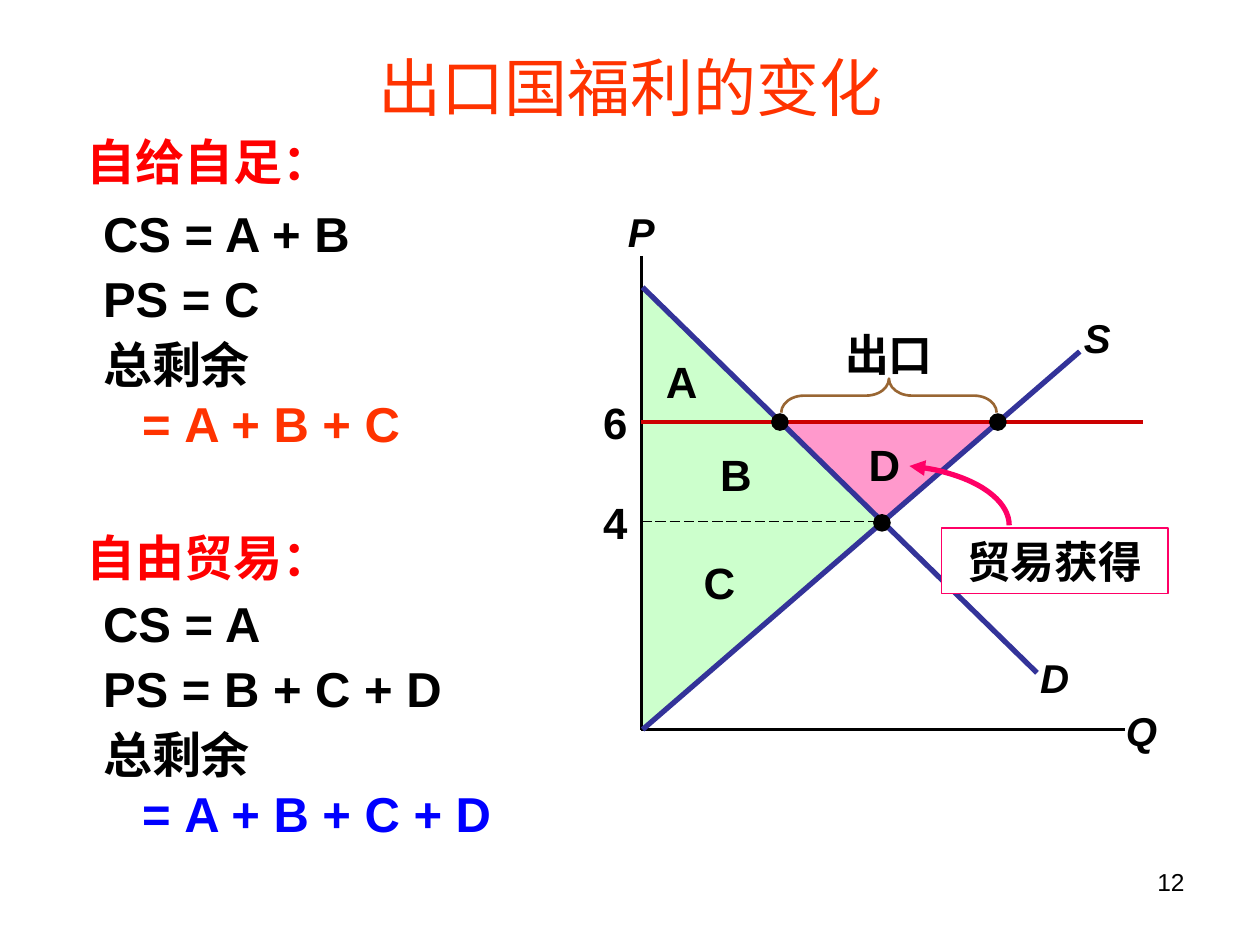
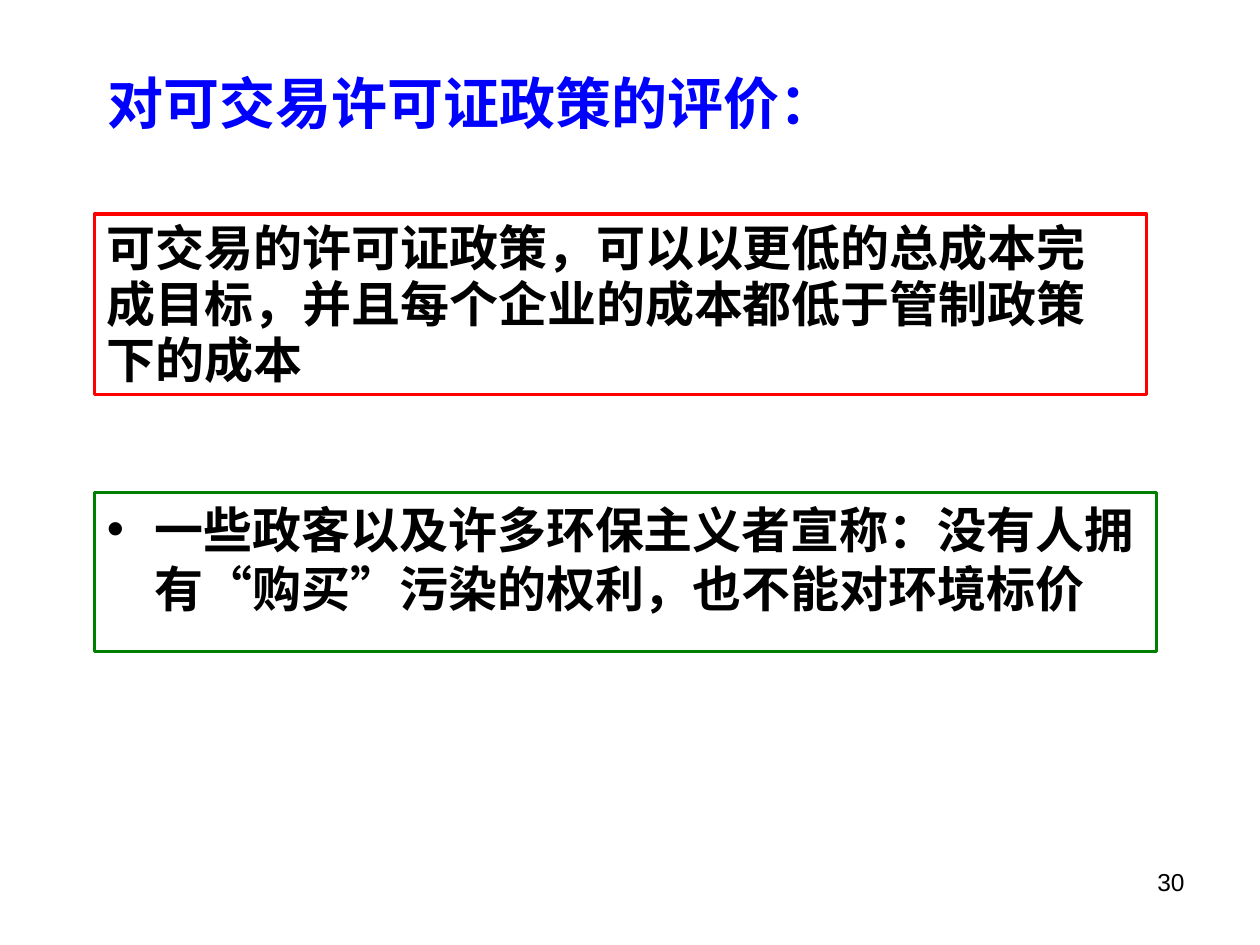
from dataclasses import dataclass

from lxml import etree
from pptx import Presentation
from pptx.dml.color import RGBColor
from pptx.enum import shapes, text
from pptx.oxml.ns import qn
from pptx.util import Inches, Pt


@dataclass(frozen=True)
class Theme:
    latin: str = "Arial"
    chinese: str = "Noto Sans CJK SC"
    black: str = "000000"
    white: str = "FFFFFF"
    orange: str = "FF3300"
    red: str = "FF0000"
    blue: str = "0000FF"
    green: str = "008000"
    surplus: str = "CCFFCC"
    gain: str = "FF99CC"
    arrow: str = "FF0066"
    curve: str = "333399"
    world_price: str = "CC0000"
    brace: str = "996633"
    title: int = 36
    heading: int = 32
    body: int = 28
    area: int = 25
    axis: int = 23
    number: int = 14


T = Theme()
SHAPE, ALIGN, ANCHOR = shapes.MSO_SHAPE, text.PP_ALIGN, text.MSO_ANCHOR

# Content: welfare slide. Each entry: heading, plain lines, last line, its colour
WELFARE_TITLE = "出口国福利的变化"
REGIMES = [
    ("自给自足：", ["CS = A + B", "PS = C", "总剩余"], "= A + B + C", T.orange),
    ("自由贸易：", ["CS = A", "PS = B + C + D", "总剩余"], "= A + B + C + D", T.blue),
]
# Diagram points, in inches on the slide
ORIGIN = (5.09, 5.79)
PRICE_TOP, QUANTITY_END = 2.03, 8.93
TRADE_PRICE, HOME_PRICE = 3.35, 4.14
DEMAND = ((5.1, 2.28), (8.23, 5.34))
SUPPLY = ((5.1, 5.79), (8.57, 2.79))
BUYERS, SELLERS, BALANCE = (6.19, TRADE_PRICE), (7.92, TRADE_PRICE), (7, 4.15)
# Letter and centre
CURVE_LABELS = [("P", 5.09, 1.84), ("Q", 9.06, 5.8), ("D", 8.37, 5.38), ("S", 8.71, 2.68)]
AREA_LABELS = [("A", 5.41, 3.02), ("B", 5.84, 3.76), ("D", 7.02, 3.68), ("C", 5.71, 4.62)]
PRICES = [("6", TRADE_PRICE), ("4", HOME_PRICE)]
EXPORTS, TRADE_GAIN = "出口", "贸易获得"

# Content: permit slide
PERMIT_TITLE = "对可交易许可证政策的评价："
ADVANTAGE = "可交易的许可证政策，可以以更低的总成本完成目标，并且每个企业的成本都低于管制政策下的成本"
OBJECTION = "一些政客以及许多环保主义者宣称：没有人拥有“购买”污染的权利，也不能对环境标价"


# Shared helpers
def rgb(code):
    return RGBColor.from_string(code)


def box(left, top, width, height):
    return [Inches(v) for v in (left, top, width, height)]


def add_run(paragraph, words, size, color=T.black, bold=True, italic=False, font=T.latin):
    run = paragraph.add_run()
    run.text = words
    run.font.size, run.font.bold, run.font.italic = Pt(size), bold, italic
    run.font.color.rgb = rgb(color)
    run.font.name = font
    properties = run.font._element
    properties.set("lang", "zh-CN")
    etree.SubElement(properties, qn("a:ea")).set("typeface", T.chinese)


def add_text(slide, area, anchor=ANCHOR.TOP, side=0.1, edge=0.05):
    holder = slide.shapes.add_textbox(*box(*area))
    frame = holder.text_frame
    frame.word_wrap, frame.vertical_anchor = True, anchor
    frame.margin_left = frame.margin_right = Inches(side)
    frame.margin_top = frame.margin_bottom = Inches(edge)
    return holder


def add_label(slide, words, x, y, width=0.6, height=0.42, size=T.area,
              align=ALIGN.CENTER, italic=False):
    holder = add_text(slide, (x - width / 2, y - height / 2, width, height),
                      ANCHOR.MIDDLE, side=0, edge=0)
    paragraph = holder.text_frame.paragraphs[0]
    paragraph.alignment = align
    add_run(paragraph, words, size, italic=italic)
    return holder


def outline(item, color, width):
    item.line.color.rgb, item.line.width = rgb(color), Pt(width)


def add_preset(slide, preset, area, fill=None, line=None, width=1, flip=False):
    item = slide.shapes.add_shape(preset, *box(*area))
    item.shadow.inherit = False
    if fill:
        item.fill.solid()
        item.fill.fore_color.rgb = rgb(fill)
    else:
        item.fill.background()
    if line:
        outline(item, line, width)
    else:
        item.line.fill.background()
    if flip:
        item._element.spPr.find(qn("a:xfrm")).set("flipV", "1")
    return item


def add_line(slide, start, end, color, width):
    ends = [Inches(v) for v in (*start, *end)]
    line = slide.shapes.add_connector(shapes.MSO_CONNECTOR.STRAIGHT, *ends)
    outline(line, color, width)
    etree.SubElement(line._element.spPr, qn("a:effectLst"))
    return line


def start_slide(deck, title, area, number, align, **style):
    slide = deck.slides.add_slide(deck.slide_layouts[5])
    holder = slide.shapes.title
    holder.left, holder.top, holder.width, holder.height = box(*area)
    frame = holder.text_frame
    frame.vertical_anchor, frame.auto_size = ANCHOR.MIDDLE, text.MSO_AUTO_SIZE.NONE
    frame.paragraphs[0].alignment = align
    add_run(frame.paragraphs[0], title, **style)
    page = add_text(slide, (7.17, 6.83, 2.33, 0.52)).text_frame.paragraphs[0]
    page.alignment = ALIGN.RIGHT
    add_run(page, str(number), T.number, bold=False)
    return slide


def format_paragraph(paragraph, before=0, left=0, hanging=0, pitch=34):
    paragraph.space_before, paragraph.line_spacing = Pt(before), Pt(pitch)
    properties = paragraph._p.get_or_add_pPr()
    properties.set("marL", str(Inches(left)))
    properties.set("indent", str(-Inches(hanging)))
    return properties


# Welfare slide: list on the left
def draw_regimes(slide):
    frame = add_text(slide, (0.59, 0.99, 4.06, 6.14)).text_frame
    for i, (heading, lines, total, color) in enumerate(REGIMES):
        paragraph = frame.add_paragraph() if i else frame.paragraphs[0]
        format_paragraph(paragraph, 42.5 if i else 0, 0.38, 0.38)
        add_run(paragraph, heading, T.body, T.red)
        for j, line in enumerate(lines):
            paragraph = frame.add_paragraph()
            format_paragraph(paragraph, 7 if i == j == 0 else 3.5, 0.44, 0.31)
            add_run(paragraph, line, T.body)
        paragraph.add_line_break()
        add_run(paragraph, total, T.body, color)


# Welfare slide: supply and demand diagram
def draw_market(slide):
    axis = ORIGIN[0]
    # Surplus areas
    add_preset(slide, SHAPE.RIGHT_TRIANGLE, (5.1, 3.36, 2.78, 2.42), T.surplus, flip=True)
    add_preset(slide, SHAPE.RIGHT_TRIANGLE, (5.1, 2.29, 1.08, 1.06), T.surplus)
    gain = add_preset(slide, SHAPE.ISOSCELES_TRIANGLE, (6.21, 3.36, 1.68, 0.76),
                      T.gain, flip=True)
    gain.adjustments[0] = 0.476

    # Axes, curves and prices
    for start, end, color, width in [
        ((axis, PRICE_TOP), ORIGIN, T.black, 2),
        (ORIGIN, (QUANTITY_END, ORIGIN[1]), T.black, 2),
        (*DEMAND, T.curve, 3),
        (*SUPPLY, T.curve, 3),
        ((axis, TRADE_PRICE), (9.07, TRADE_PRICE), T.world_price, 2.25),
    ]:
        add_line(slide, start, end, color, width)
    home = add_line(slide, (axis, HOME_PRICE), (BALANCE[0], HOME_PRICE), T.black, 0.75)
    home.line.dash_style = MSO_DASH
    for x, y in (BUYERS, SELLERS, BALANCE):
        add_preset(slide, SHAPE.OVAL, (x - 0.07, y - 0.07, 0.14, 0.14), T.black)

    # Exports between the two crossing points
    span, depth = 1.71, 0.27
    middle = (BUYERS[0] + SELLERS[0]) / 2
    brace = add_preset(slide, SHAPE.LEFT_BRACE,
                       (middle - depth / 2, 3.14 - span / 2, depth, span),
                       line=T.brace, width=1.5)
    brace.rotation = 90
    brace.adjustments[0] = 0.67

    # Letters
    for letter, x, y in CURVE_LABELS:
        add_label(slide, letter, x, y, size=T.axis, italic=True)
    for letter, x, y in AREA_LABELS:
        add_label(slide, letter, x, y)
    for price, y in PRICES:
        add_label(slide, price, 4.68, y, align=ALIGN.RIGHT)
    add_label(slide, EXPORTS, middle, 2.81, 1.38)

    # Gains from trade: curved arrow and callout
    arrow = add_preset(slide, SHAPE.ARC, (6.05, 3.69, 1.96, 0.96), line=T.arrow, width=3)
    arrow.adjustments[0], arrow.adjustments[1] = 175.08, 0
    etree.SubElement(arrow.line._get_or_add_ln(), qn("a:headEnd")).set("type", "triangle")
    callout = add_label(slide, TRADE_GAIN, 8.37, 4.45, 1.8, 0.52)
    callout.fill.solid()
    callout.fill.fore_color.rgb = rgb(T.white)
    outline(callout, T.arrow, 0.75)


# Permit slide: framed statements
def draw_statement(slide, words, area, color, pitch, bullet=False):
    holder = add_text(slide, area)
    outline(holder, color, 2)
    paragraph = holder.text_frame.paragraphs[0]
    hanging = 0.38 if bullet else 0
    properties = format_paragraph(paragraph, 0, hanging, hanging, pitch)
    if bullet:
        etree.SubElement(properties, qn("a:buFont")).set("typeface", T.latin)
        etree.SubElement(properties, qn("a:buChar")).set("char", "•")
    add_run(paragraph, words, T.body)


MSO_DASH = 7  # replaced below by the named dash style


def main():
    deck = Presentation()
    deck.slide_width, deck.slide_height = Inches(10), Inches(7.5)

    welfare = start_slide(deck, WELFARE_TITLE, (0.5, 0.3, 9, 0.77), 12, ALIGN.CENTER,
                          size=T.title, color=T.orange, bold=False, font=T.chinese)
    draw_regimes(welfare)
    draw_market(welfare)

    permits = start_slide(deck, PERMIT_TITLE, (0.75, 0.44, 8.5, 0.74), 30, ALIGN.LEFT,
                          size=T.heading, color=T.blue)
    draw_statement(permits, OBJECTION, (0.75, 3.91, 8.43, 1.26), T.green, 34, bullet=True)
    draw_statement(permits, ADVANTAGE, (0.75, 1.7, 8.35, 1.43), T.red, 32)

    deck.save("out.pptx")


if __name__ == "__main__":
    main()
